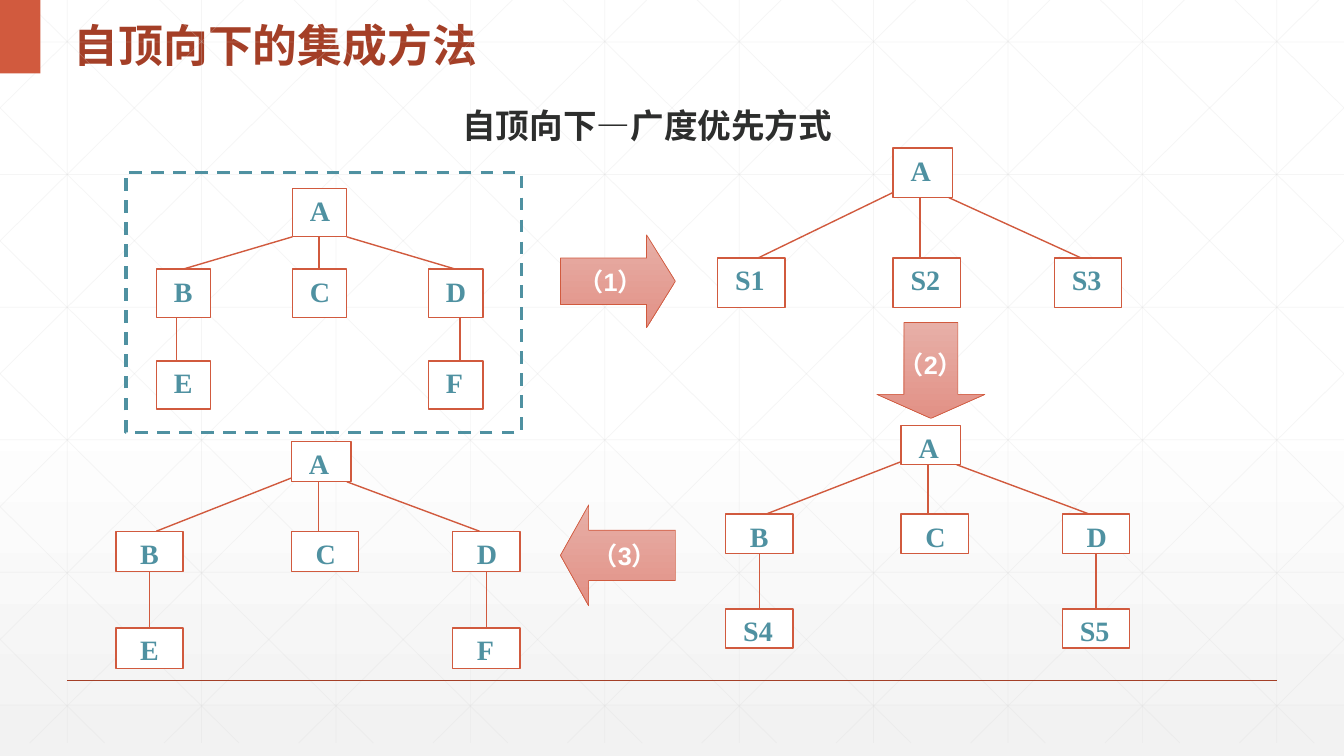
from dataclasses import dataclass
from typing import NamedTuple, Optional

from lxml.etree import SubElement
from pptx import Presentation
from pptx.dml.color import RGBColor
from pptx.dml.fill import FillFormat
from pptx.enum.dml import MSO_LINE
from pptx.enum.shapes import MSO_CONNECTOR, MSO_SHAPE as Shape
from pptx.enum.text import MSO_ANCHOR as Anchor, PP_ALIGN as Align
from pptx.oxml.ns import qn
from pptx.util import Emu, Inches, Pt

WHITE = RGBColor(0xFF, 0xFF, 0xFF)
PALE = RGBColor(0xF2, 0xF2, 0xF2)
GRID = RGBColor(0xD9, 0xD9, 0xD9)
ORANGE = RGBColor(0xD1, 0x5A, 0x3E)
RUST = RGBColor(0xA4, 0x3F, 0x27)
INK = RGBColor(0x2D, 0x2E, 0x2D)
TEAL = RGBColor(0x4F, 0x91, 0xA1)
PINK = RGBColor(0xE7, 0xAF, 0xA7)
ROSE = RGBColor(0xE2, 0x91, 0x86)
CJK, LATIN, SERIF = "Noto Sans CJK SC", "Arial", "Times New Roman"

prs = Presentation()
prs.slide_width, prs.slide_height = Inches(13.33), Inches(7.5)
s = prs.slides.add_slide(prs.slide_layouts[5])


class Box(NamedTuple):
    """Left, top, width and height in percent of the slide."""
    x: float
    y: float
    w: float
    h: float


@dataclass
class Tree:
    """Root over three children, with optional leaves under the outer two."""
    x: float
    y: float
    box_h: float
    child_drop: float
    children: tuple[str, str, str]
    leaf_drop: float = 0
    leaves: tuple[str, ...] = ()
    lift: float = 0  # how far above the root's bottom the left branch starts
    inset: float = 1.3
    columns: tuple[float, float, float] = (0, 13.05, 25.05)
    box_w: float = 5
    root_w: float = 4.43
    right_joint: float = 4.13
    left_end: float = 3
    stems: tuple[float, float] = (2.5, 2.5)


class BlockArrow(NamedTuple):
    kind: Shape
    box: Box
    head: float
    label: str


TREES = [
    Tree(53.4, 19.6, 6.53, 14.53, ("S1", "S2", "S3"), lift=0.67),
    Tree(54, 56.27, 5.2, 11.73, ("B", "C", "D"), 24.27, ("S4", "S5"), 0.4, 1.8),
    Tree(8.63, 58.4, 5.33, 11.87, ("B", "C", "D"), 24.67, ("E", "F"), 0.5, 1.8),
    Tree(11.63, 24.93, 6.4, 10.67, ("B", "C", "D"), 22.8, ("E", "F"),
         columns=(0, 10.12, 20.25), box_w=4.05, root_w=4.05, right_joint=4.05,
         left_end=2, stems=(1.5, 2.35)),
]
ARROWS = [
    BlockArrow(Shape.RIGHT_ARROW, Box(41.7, 31.07, 8.55, 12.27), 0.31, "（1）"),
    BlockArrow(Shape.DOWN_ARROW, Box(65.25, 42.67, 8.03, 12.67), 0.25, "（2）"),
    BlockArrow(Shape.LEFT_ARROW, Box(41.7, 66.8, 8.55, 13.33), 0.28, "（3）"),
]


def col(share: float) -> Emu:
    return Emu(round(prs.slide_width * share / 100))


def row(share: float) -> Emu:
    return Emu(round(prs.slide_height * share / 100))


def place(box: Box) -> tuple[Emu, Emu, Emu, Emu]:
    return col(box.x), row(box.y), col(box.w), row(box.h)


def shade(fill: FillFormat, top: RGBColor, bottom: RGBColor, start: float = 0) -> None:
    """Downward gradient that begins at the given fraction of the height."""
    fill.gradient()
    fill.gradient_angle = 270
    for stop, color, at in zip(fill.gradient_stops, (top, bottom), (start, 1)):
        stop.color.rgb, stop.position = color, at


def add_line(x1: float, y1: float, x2: float, y2: float, color: RGBColor = ORANGE,
             width: float = 1, alpha: Optional[int] = None) -> None:
    c = s.shapes.add_connector(MSO_CONNECTOR.STRAIGHT, col(x1), row(y1), col(x2), row(y2))
    c.line.color.rgb, c.line.width = color, Pt(width)
    if alpha is not None:
        rgb = next(c.element.iter(qn("a:srgbClr")))
        SubElement(rgb, qn("a:alpha")).set("val", str(alpha * 1000))
    SubElement(c.element.spPr, qn("a:effectLst"))


def add_block(kind: Shape, box: Box, fill: Optional[RGBColor] = None,
              line: Optional[RGBColor] = None, width: float = 1):
    sp = s.shapes.add_shape(kind, *place(box))
    sp.shadow.inherit = False
    if fill is None:
        sp.fill.background()
    else:
        sp.fill.solid()
        sp.fill.fore_color.rgb = fill
    if line is None:
        sp.line.fill.background()
    else:
        sp.line.color.rgb, sp.line.width = line, Pt(width)
    return sp


def write(sp, text: str, size: float, color: RGBColor, font: str = CJK,
          align: Align = Align.CENTER, anchor: Anchor = Anchor.TOP, wrap: bool = True) -> None:
    tf = sp.text_frame
    tf.word_wrap, tf.vertical_anchor = wrap, anchor
    p = tf.paragraphs[0]
    p.alignment = align
    r = p.add_run()
    r.text = text
    r.font.size, r.font.bold, r.font.name = Pt(size), True, font
    r.font.color.rgb = color
    SubElement(r.font._element, qn("a:ea")).set("typeface", CJK)


def add_node(text: str, box: Box, inset: float = 1.3) -> None:
    sp = add_block(Shape.RECTANGLE, box, WHITE, ORANGE)
    sp.text_frame.margin_left, sp.text_frame.margin_right = col(inset), 0
    write(sp, text, 20, TEAL, SERIF, Align.LEFT)


def add_tree(t: Tree) -> None:
    left, middle, right = (t.x + c for c in t.columns)
    bottom, child_y, leaf_y = t.y + t.box_h, t.y + t.child_drop, t.y + t.leaf_drop
    add_node("A", Box(middle, t.y, t.root_w, t.box_h))
    for text, x in zip(t.children, (left, middle, right)):
        add_node(text, Box(x, child_y, t.box_w, t.box_h), t.inset)
    for text, x, stem in zip(t.leaves, (left, right), t.stems):
        add_node(text, Box(x, leaf_y, t.box_w, t.box_h), 1.3 if len(text) > 1 else t.inset)
        add_line(x + stem, child_y + t.box_h, x + stem, leaf_y)
    add_line(middle, bottom - t.lift, left + t.left_end, child_y)
    add_line(middle + t.right_joint, bottom, right + 2, child_y)
    add_line(middle + 2, bottom, middle + 2, child_y)


def add_backdrop() -> None:
    """Faint grid with both sets of diagonals, cut at the slide's sides."""
    floor, run = 98.27, 55.9
    faint = (GRID, 0.5, 25)
    for i in range(10):
        add_line(5 + 10 * i, 0, 5 + 10 * i, floor, *faint)
    for i in range(6):
        y = 5.55 + 17.54 * i
        add_line(0, y, 100, y, *faint)
    for i in range(-5, 10):
        x = 1.88 + 10 * i
        x1, x2 = max(x, 0), min(x + run, 100)
        y1, y2 = ((end - x) / run * floor for end in (x1, x2))
        add_line(x1, y1, x2, y2, *faint)
        add_line(100 - x1, y1, 100 - x2, y2, *faint)


def main() -> None:
    shade(s.background.fill, WHITE, PALE, 0.53)
    add_backdrop()
    add_line(5, 90, 95, 90, RUST)
    add_block(Shape.RECTANGLE, Box(0, 0, 3, 9.73), ORANGE)

    title = s.shapes.title
    title.left, title.top, title.width, title.height = place(Box(4.73, 0, 42.68, 9.73))
    write(title, "自顶向下的集成方法", 32, RUST, align=Align.LEFT, anchor=Anchor.MIDDLE)
    title.text_frame.paragraphs[0].line_spacing = 1.3

    subtitle = s.shapes.add_textbox(*place(Box(6.08, 13.2, 84.15, 6.67)))
    write(subtitle, "自顶向下—广度优先方式", 24, INK)

    for tree in TREES:
        add_tree(tree)
    for arrow in ARROWS:
        sp = add_block(arrow.kind, arrow.box, PINK, ORANGE, 0.5)
        sp.adjustments[1] = arrow.head
        shade(sp.fill, PINK, ROSE)
        write(sp, arrow.label, 18, WHITE, LATIN, anchor=Anchor.MIDDLE, wrap=False)

    frame = add_block(Shape.RECTANGLE, Box(9.38, 22.8, 29.4, 34.4), line=TEAL, width=2.25)
    frame.line.dash_style = MSO_LINE.DASH
    prs.save("out.pptx")


if __name__ == "__main__":
    main()
